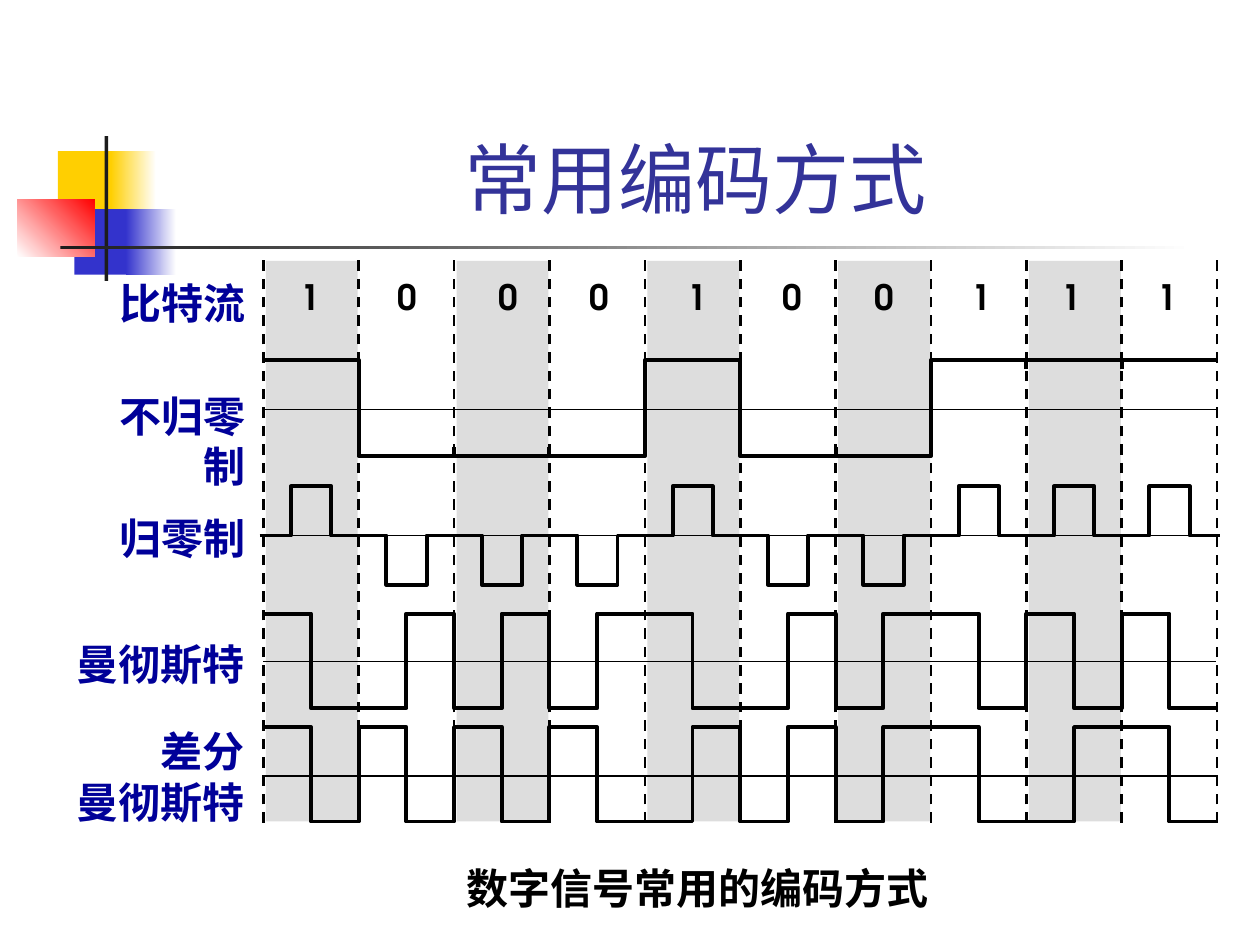
from pptx import Presentation
from pptx.dml.color import RGBColor
from pptx.enum.dml import MSO_LINE
from pptx.enum.shapes import MSO_CONNECTOR, MSO_SHAPE
from pptx.enum.text import MSO_ANCHOR, PP_ALIGN
from pptx.oxml.ns import qn
from pptx.util import Inches, Pt
from lxml import etree

RECT, LINE = MSO_SHAPE.RECTANGLE, MSO_CONNECTOR.STRAIGHT
DASH, SOLID = MSO_LINE.DASH, MSO_LINE.SOLID
LEFT, MID, RIGHT = PP_ALIGN.LEFT, PP_ALIGN.CENTER, PP_ALIGN.RIGHT
TOP, BASE = MSO_ANCHOR.TOP, MSO_ANCHOR.BOTTOM

deck = Presentation()
deck.slide_width, deck.slide_height = Inches(10), Inches(7.5)
slide = deck.slides.add_slide(deck.slide_layouts[6])
shapes = slide.shapes
UNIT = deck.slide_width / 100  # all lengths are hundredths of the slide width


def size(*spans):
    return [round(span * UNIT) for span in spans]


def paint(fill, *tones, turn=0):
    if len(tones) == 1:
        fill.solid()
        fill.fore_color.rgb = RGBColor.from_string(tones[0])
        return
    fill.gradient()
    fill.gradient_angle = turn
    for stop, tone in zip(fill.gradient_stops, tones):
        stop.color.rgb = RGBColor.from_string(tone)


# Bit grid: ten equal columns
BITS = [1, 0, 0, 0, 1, 0, 0, 1, 1, 1]
START, STEP, END = 20.9, 7.57, 96.5
edges = [START + STEP * col for col in range(len(BITS) + 1)]

# Corner ornament, title rule and grey bands
rects = [
    (4.6, 12, 4.8, 5.2, ["FFCF01"], 0),
    (8.8, 12, 3.6, 5.2, ["FFCF01", "FFFFFF"], 0),
    (5.9, 16.6, 4.6, 5.2, ["3333CC"], 0),
    (10, 16.6, 4, 5.2, ["3333CC", "FFFFFF"], 0),
    (1.4, 15.8, 6.1, 4.6, ["FFFFFF", "FF0000"], 45),
    (8.3, 10.8, 0.3, 11.5, ["1C1C1C"], 0),
    (4.8, 19.5, 90, 0.3, ["1C1C1C", "FFFFFF"], 0),
]
rects += [(x + 0.2, 20.7, 7.3, 44.5, ["DDDDDD"], 0) for x in edges[:-1:2]]
for *area, tones, turn in rects:
    rect = shapes.add_shape(RECT, *size(*area))
    rect.shadow.inherit = False
    rect.line.fill.background()
    paint(rect.fill, *tones, turn=turn)

# Title, row labels, bits and caption
label = dict(size=Pt(24), name="Arial", bold=True)
head = dict(size=Pt(44), name="Arial", bold=False)
digit = dict(size=Pt(20), name="TeX Gyre Adventor", bold=True)
texts = [
    ("常用编码方式", (12.6, 2.3, 85.2, 16), head, "333399", MID, BASE, True),
    ("数字信号常用的编码方式", (30.2, 68, 50.3, 5), label, "000000", MID, TOP, True),
]
for words, area, wrap in [
    ("比特流", (7, 21.5, 13.5, 5), True),
    ("不归零制", (5.9, 30.5, 14.6, 9), True),
    ("归零制", (6.7, 40.2, 13.8, 5), True),
    ("曼彻斯特", (5.1, 50.2, 15.3, 5), False),
    ("差分\n曼彻斯特", (5.1, 57.1, 15.3, 9), False),
]:
    texts.append((words, area, label, "000099", RIGHT, TOP, wrap))
spots = [22.9, 30.6, 38.6, 45.8, 53.6, 61.1, 68.4, 76.1, 83.3, 90.9]
for bit, x in zip(BITS, spots):
    texts.append((str(bit), (x, 21.4, 3.6, 4.3), digit, "000000", LEFT, TOP, False))

for words, area, look, tone, align, anchor, wrap in texts:
    frame = shapes.add_textbox(*size(*area)).text_frame
    frame.text = words
    frame.word_wrap, frame.vertical_anchor = wrap, anchor
    for para in frame.paragraphs:
        para.alignment = align
        font = para.runs[0].font
        for key, value in look.items():
            setattr(font, key, value)
        paint(font.fill, tone)

# Signal levels, two halves per bit (1 is high)
plain, phase, diff = [], [], []
last = 1
for bit in BITS:
    plain += [bit, bit]
    phase += [bit, 1 - bit]
    first = last if bit else 1 - last  # a zero flips at the bit's start
    last = 1 - first
    diff += [first, last]

waves = []
for levels, top, low in [(plain, 28.6, 36.2), (phase, 48.7, 56.2), (diff, 57.7, 65.2)]:
    wave = []
    for half, level in enumerate(levels):
        x, y = START + half * STEP / 2, top if level else low
        wave += [(x, y), (x + STEP / 2, y)]
    waves.append(wave)

# Return-to-zero pulses
ZERO, PULSE = 42.5, 3.9
for bit, x in zip(BITS, edges):
    peak = ZERO - PULSE if bit else ZERO + PULSE
    waves.append([(x - 0.3, ZERO), (x + 2.2, ZERO), (x + 2.2, peak),
                  (x + 5.4, peak), (x + 5.4, ZERO), (x + 7.8, ZERO)])

for wave in waves:
    dots = [size(*dot) for dot in wave]
    pen = shapes.build_freeform(*dots[0], scale=1.0)
    pen.add_line_segments(dots[1:], close=False)
    trace = pen.convert_to_shape()
    trace.shadow.inherit = False
    trace.fill.background()
    trace.line.width = Pt(2.25)
    paint(trace.line.fill, "000000")

# Bit borders, zero axes, and ticks between equal bits
lines = [(x, 65.3, x, 20.4, 1.5, DASH) for x in edges]
lines += [(START, y, END, y, 1, SOLID) for y in (32.5, 42.5, 52.5, 61.6)]
for old, bit, x in zip(BITS, BITS[1:], edges[1:]):
    if old == bit:
        y = 29.3 if bit else 36.2
        lines.append((x, y, x, y - 0.7, 2.25, SOLID))
for *ends, width, dash in lines:
    line = shapes.add_connector(LINE, *size(*ends))
    etree.SubElement(line._element.spPr, qn("a:effectLst"))
    for key, value in dict(width=Pt(width), dash_style=dash).items():
        setattr(line.line, key, value)
    paint(line.line.fill, "000000")

deck.save("out.pptx")
